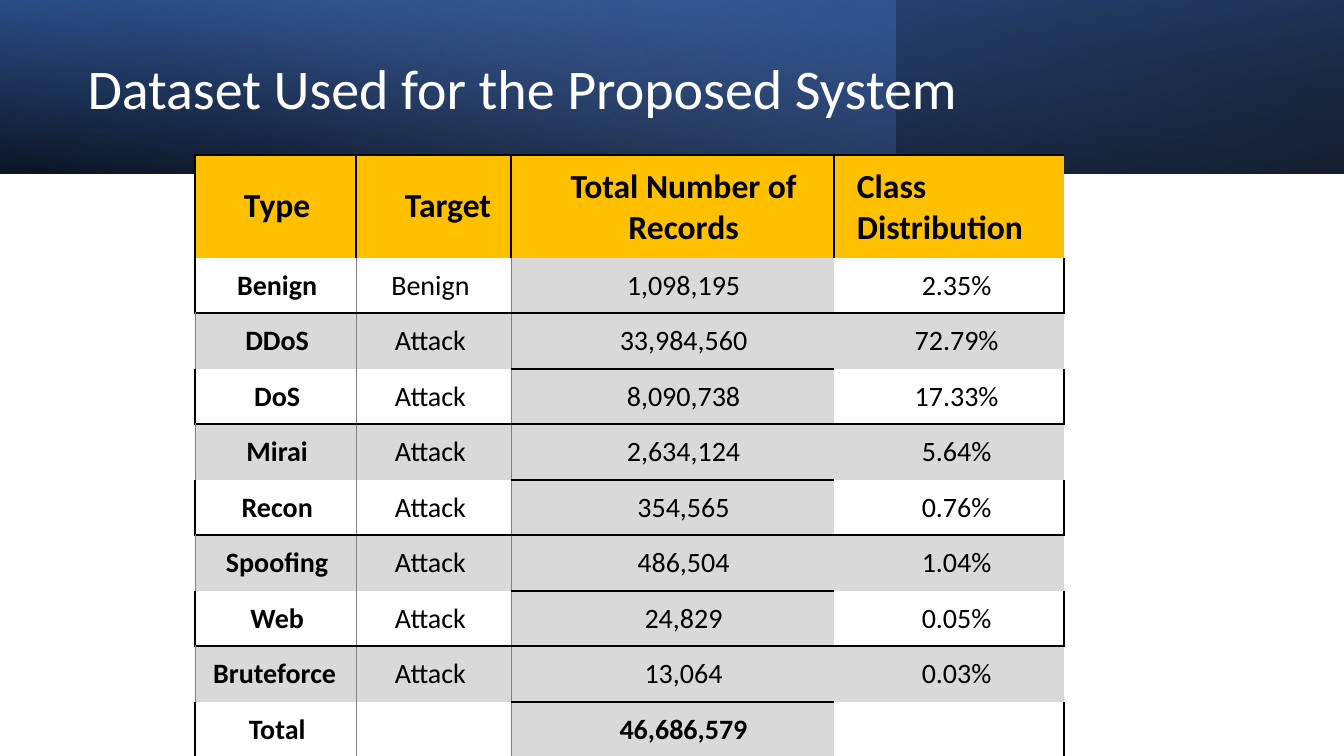
import pptx
import pptx.dml.color
import pptx.enum.shapes
import pptx.enum.text
import pptx.oxml
import pptx.oxml.ns
import pptx.util

Pt = pptx.util.Pt
ALIGN = pptx.enum.text.PP_ALIGN
MIDDLE = pptx.enum.text.MSO_ANCHOR.MIDDLE

COLOURS = {
    "black": "000000",
    "white": "FFFFFF",
    "navy": "2F5597",
    "blue": "4472C4",
    "sky": "8FAADC",
    "gold": "FFC000",
    "band": "D9D9D9",
    "rule": "808080",
}
FONT = "Calibri"
WIDTH, HEIGHT, BANNER_HEIGHT = 960, 540, 123.84

HEADINGS = ["Type", "Target", "Total Number of Records", "Class Distribution"]
HEADING_ALIGNS = [ALIGN.CENTER, ALIGN.RIGHT, ALIGN.CENTER, ALIGN.LEFT]
RECORDS = [
    ("Benign", "Benign", "1,098,195", "2.35%"),
    ("DDoS", "Attack", "33,984,560", "72.79%"),
    ("DoS", "Attack", "8,090,738", "17.33%"),
    ("Mirai", "Attack", "2,634,124", "5.64%"),
    ("Recon", "Attack", "354,565", "0.76%"),
    ("Spoofing", "Attack", "486,504", "1.04%"),
    ("Web", "Attack", "24,829", "0.05%"),
    ("Bruteforce", "Attack", "13,064", "0.03%"),
    ("Total", "", "46,686,579", ""),
]
COLUMN_WIDTHS = [114.8, 110.8, 230.6, 164.6]
ROW_HEIGHTS = [65.5] + [33.8] * 7 + [36.7] * 2
INDENTS = [3.6, 0, 13, 6.5]
RIGHT_MARGINS = [11.4, 14.3, 7.1, 5.7]
COUNT_COLUMN = 2
LAST_COLUMN = len(HEADINGS) - 1

THICK, THIN = ("black", 1.5), ("rule", 0.5)
WHITE_ROW_SIDES = [{"L": THICK, "R": THIN}, {"L": THIN, "R": THIN}, {"L": THIN}, {"R": THICK}]
BAND_ROW_SIDES = [{"L": THIN, "R": THIN}, {"L": THIN, "R": THIN}, {"L": THIN}, {}]


def rgb(name):
    return pptx.dml.color.RGBColor.from_string(COLOURS[name])


def apply(target, formats):
    for name, value in formats.items():
        setattr(target, name, value)


def add_gradient(page, width, stops, angle, rotation=0, flipped=False):
    panel = page.shapes.add_shape(
        pptx.enum.shapes.MSO_SHAPE.RECTANGLE, 0, 0, Pt(width), Pt(BANNER_HEIGHT))
    panel.shadow.inherit = False
    panel.rotation = rotation
    panel.line.fill.background()
    panel.fill.gradient()
    properties = panel._element.spPr
    if flipped:
        properties.find(pptx.oxml.ns.qn("a:xfrm")).set("flipH", "1")
    stop_xml = "".join(
        f'<a:gs pos="{place * 1000}"><a:srgbClr val="{COLOURS[colour]}">'
        f'<a:alpha val="{opacity * 1000}"/></a:srgbClr></a:gs>'
        for place, colour, opacity in stops)
    gradient = pptx.oxml.parse_xml(
        f'<a:gradFill {pptx.oxml.ns.nsdecls("a")} rotWithShape="1"><a:gsLst>{stop_xml}</a:gsLst>'
        f'<a:lin ang="{angle * 60000}" scaled="0"/></a:gradFill>')
    properties.replace(properties.find(pptx.oxml.ns.qn("a:gradFill")), gradient)


def write(para, text, size, colour, bold=False):
    span = para.add_run()
    span.text = text
    apply(span.font, {"name": FONT, "size": Pt(size), "bold": bold})
    span.font.color.rgb = rgb(colour)


def add_title(page, text):
    box = page.shapes.add_textbox(Pt(55.44), Pt(19.44), Pt(842.4), Pt(91.44))
    apply(box.text_frame, {"word_wrap": True, "vertical_anchor": MIDDLE})
    para = box.text_frame.paragraphs[0]
    para.line_spacing = 0.9
    write(para, text, 40, "white")


def cell_borders(row, column):
    if row == 0:
        sides = {"L": THICK, "T": THICK, "R": THICK}
        if column == LAST_COLUMN:
            del sides["R"]
        return sides
    banded = row % 2 == 0
    sides = dict((BAND_ROW_SIDES if banded else WHITE_ROW_SIDES)[column])
    if banded or (column == COUNT_COLUMN and row > 1):
        sides["T"] = THICK
    if not banded or column == COUNT_COLUMN:
        sides["B"] = ("black", 2.25) if row == len(RECORDS) else THICK
    return sides


def draw_borders(cell, borders):
    properties = cell._tc.get_or_add_tcPr()
    for index, side in enumerate("LRTB"):
        colour, width = borders.get(side, (None, 0))
        paint = (f'<a:solidFill><a:srgbClr val="{COLOURS[colour]}"/></a:solidFill>'
                 if colour else "<a:noFill/>")
        properties.insert(index, pptx.oxml.parse_xml(
            f'<a:ln{side} {pptx.oxml.ns.nsdecls("a")} w="{Pt(width)}">{paint}</a:ln{side}>'))


def fill_cell(cell, row, column, text):
    header = row == 0
    if header or row % 2 == 0 or column == COUNT_COLUMN:
        cell.fill.solid()
        cell.fill.fore_color.rgb = rgb("gold" if header else "band")
    else:
        cell.fill.background()
    draw_borders(cell, cell_borders(row, column))
    if not text:
        return
    apply(cell, {"margin_left": Pt(10), "margin_top": Pt(7.8),
                 "margin_right": Pt(RIGHT_MARGINS[column]), "margin_bottom": Pt(7.8)})
    if header:
        cell.vertical_anchor = MIDDLE
    para = cell.text_frame.paragraphs[0]
    apply(para, {"alignment": HEADING_ALIGNS[column] if header else ALIGN.CENTER,
                 "space_before": Pt({0: 0.9, 1: 1.6}.get(row, 0))})
    indent = 0 if text == "Bruteforce" else INDENTS[column]
    para._p.get_or_add_pPr().set("marL", str(Pt(indent)))
    bold = header or column == 0 or row == len(RECORDS)
    write(para, text, 24 if header else 20, "black", bold)


def add_records_table(page):
    rows = [HEADINGS, *RECORDS]
    table = page.shapes.add_table(
        len(rows), len(HEADINGS), Pt(139.5), Pt(110.9),
        Pt(sum(COLUMN_WIDTHS)), Pt(sum(ROW_HEIGHTS))).table
    apply(table, {"first_row": False, "horz_banding": False})
    for column, width in zip(table.columns, COLUMN_WIDTHS):
        column.width = Pt(width)
    for row, (texts, height) in enumerate(zip(rows, ROW_HEIGHTS)):
        table.rows[row].height = Pt(height)
        for column, text in enumerate(texts):
            fill_cell(table.cell(row, column), row, column, text)


def main():
    deck = pptx.Presentation()
    apply(deck, {"slide_width": Pt(WIDTH), "slide_height": Pt(HEIGHT)})
    page = deck.slides.add_slide(deck.slide_layouts[6])
    add_gradient(page, WIDTH, [(0, "black", 96), (100, "navy", 100)], 100, 180, True)
    add_gradient(page, 640, [(0, "blue", 41), (74, "sky", 0)], 140)
    add_gradient(page, WIDTH, [(0, "black", 63), (78, "blue", 15)], 260, flipped=True)
    add_title(page, "Dataset Used for the Proposed System")
    add_records_table(page)
    deck.save("out.pptx")


if __name__ == "__main__":
    main()
